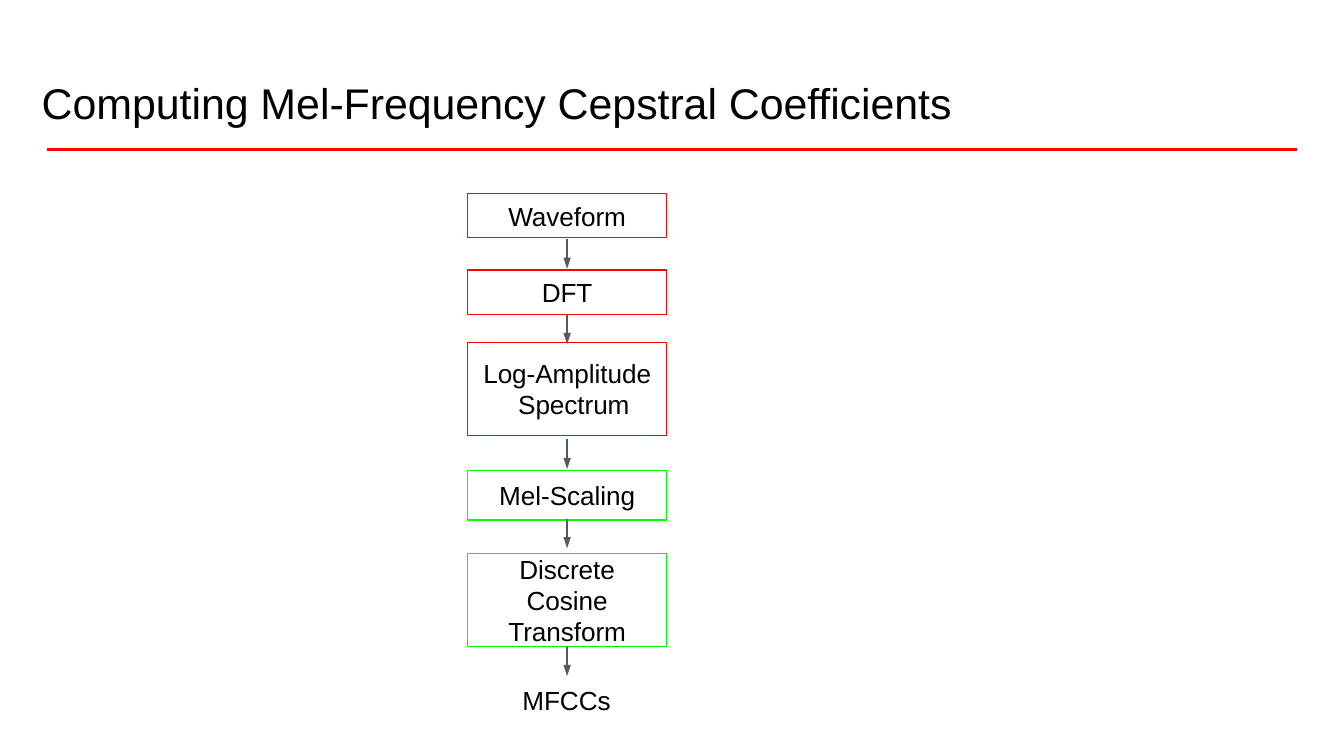
import pptx
import pptx.dml.color
import pptx.enum.shapes
import pptx.enum.text
import pptx.oxml.ns
import pptx.util
from lxml import etree

Inches = pptx.util.Inches
Pt = pptx.util.Pt
PP_ALIGN = pptx.enum.text.PP_ALIGN
BLACK, RED, GREEN, GREY = "000000", "FF0000", "00FF00", "595959"


def write_text(shape, wording, size, align):
    """Put one paragraph in the middle of the shape, without side margins."""
    frame = shape.text_frame
    frame_format = {
        "margin_left": 0, "margin_right": 0, "margin_top": 0, "margin_bottom": 0,
        "word_wrap": True, "vertical_anchor": pptx.enum.text.MSO_ANCHOR.MIDDLE,
    }
    for name, value in frame_format.items():
        setattr(frame, name, value)
    paragraph = frame.paragraphs[0]
    paragraph.text = wording
    paragraph.alignment = align
    if "\v" in wording:
        paragraph.line_spacing = Pt(16.5)
    for run in paragraph.runs:
        run.font.name = "Arial"
        run.font.size = Pt(size)
        run.font.color.rgb = pptx.dml.color.RGBColor.from_string(BLACK)
        run.font._element.set("spc", "-5")
    return paragraph


def draw_line(x1, y1, x2, y2, color, width):
    line = slide.shapes.add_connector(
        pptx.enum.shapes.MSO_CONNECTOR.STRAIGHT,
        Inches(x1), Inches(y1), Inches(x2), Inches(y2))
    line.line.color.rgb = pptx.dml.color.RGBColor.from_string(color)
    line.line.width = Pt(width)
    etree.SubElement(line._element.spPr, pptx.oxml.ns.qn("a:effectLst"))
    return line


deck = pptx.Presentation()
deck.slide_width = Inches(10)
deck.slide_height = Inches(10 * 9 / 16)
slide = deck.slides.add_slide(deck.slide_layouts[6])

title = slide.shapes.add_textbox(Inches(0.31), Inches(0.56), Inches(6.82), Inches(0.41))
write_text(title, "Computing Mel-Frequency Cepstral Coefficients", 23, PP_ALIGN.LEFT)
draw_line(0.35, 1.11, 9.65, 1.11, RED, 1.5)

step_left, step_width = 3.48, 1.48
center = step_left + step_width / 2
# wording, top, height, outline, start of the arrow below
steps = [
    ("Waveform", 1.44, 0.33, RED, 1.78),
    ("DFT", 2.01, 0.33, RED, 2.34),
    ("Log-Amplitude\vSpectrum", 2.55, 0.69, RED, 3.27),
    ("Mel-Scaling", 3.5, 0.37, GREEN, 3.86),
    ("Discrete\vCosine\vTransform", 4.12, 0.69, GREEN, 4.81),
]
for wording, top, height, outline, arrow_top in steps:
    step = slide.shapes.add_shape(
        pptx.enum.shapes.MSO_SHAPE.RECTANGLE,
        Inches(step_left), Inches(top), Inches(step_width), Inches(height))
    step.shadow.inherit = False
    step.fill.background()
    step.line.color.rgb = pptx.dml.color.RGBColor.from_string(outline)
    step.line.width = Pt(0.75)
    paragraph = write_text(step, wording, 14, PP_ALIGN.CENTER)
    if wording.startswith("Log"):
        # The second line sits slightly to the right of the first
        properties = paragraph._p.get_or_add_pPr()
        properties.set("marL", str(Inches(0.1)))
        properties.set("indent", str(Inches(-0.1)))

    arrow = draw_line(center, arrow_top, center, arrow_top + 0.22, GREY, 0.75)
    etree.SubElement(arrow.line._get_or_add_ln(), pptx.oxml.ns.qn("a:tailEnd"),
                     type="triangle", w="sm", len="med")

result = slide.shapes.add_textbox(Inches(3.87), Inches(5.08), Inches(0.69), Inches(0.26))
write_text(result, "MFCCs", 14, PP_ALIGN.CENTER)

deck.save("out.pptx")
